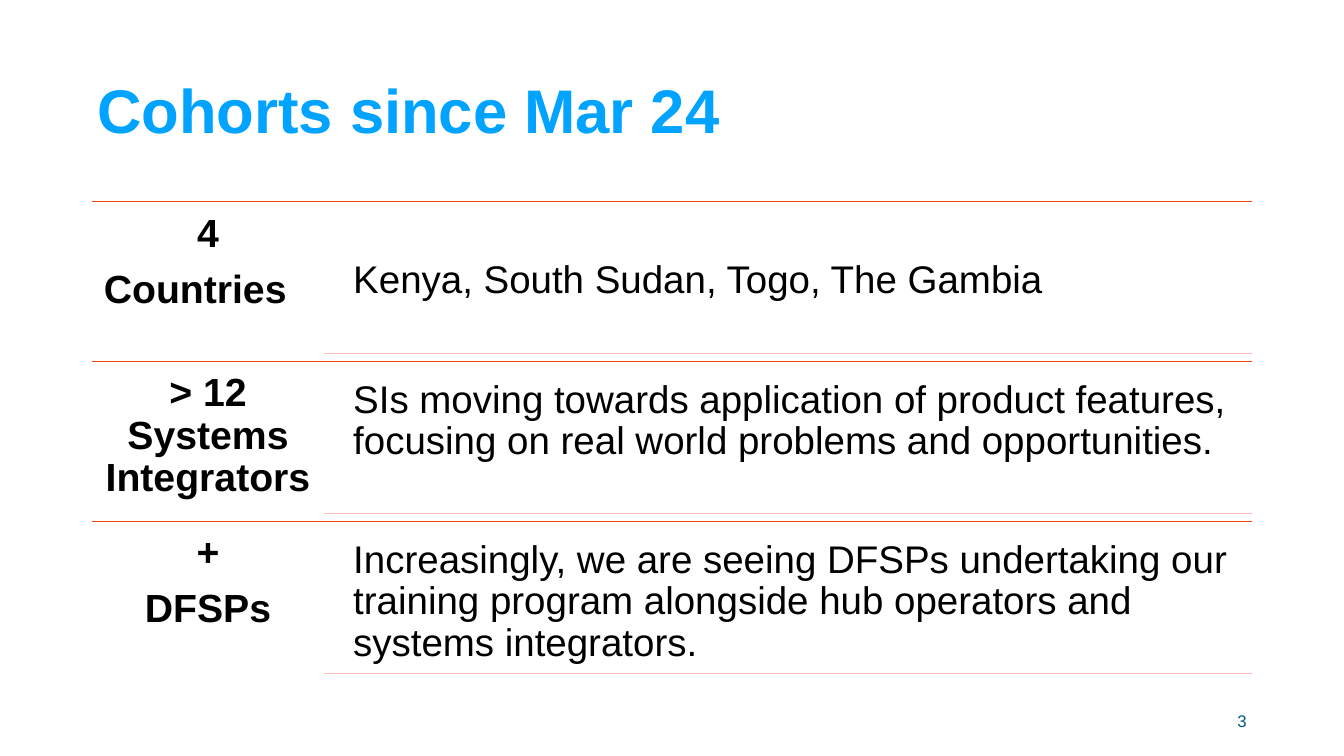
"""Builds the slide that lists the training cohorts since March 24."""
from lxml import etree
from pptx import Presentation
from pptx.dml.color import RGBColor
from pptx.enum.shapes import MSO_CONNECTOR
from pptx.enum.text import MSO_ANCHOR, PP_ALIGN
from pptx.oxml.ns import qn
from pptx.util import Emu, Pt

LEFT, MID, RIGHT = PP_ALIGN.LEFT, PP_ALIGN.CENTER, PP_ALIGN.RIGHT
TOP, CENTER = MSO_ANCHOR.TOP, MSO_ANCHOR.MIDDLE
STRAIGHT = MSO_CONNECTOR.STRAIGHT


def px(n):
    return Emu(n * 9144)


def color(code):
    return RGBColor.from_string(code)


def write(para, text, size, ink="000000", bold=False, align=LEFT, lead=0.9, gap=0):
    para.alignment = align
    para.line_spacing = lead
    para.space_before = Pt(gap)
    run = para.add_run()
    run.text = text
    font = run.font
    font.name = "Arial"
    font.size = Pt(size)
    font.bold = bold
    font.color.rgb = color(ink)


class Deck:
    """Holds the style and the current slide."""

    blue, navy = "00A3FF", "005A83"
    rule, pale = "FA430E", "FEBCB7"

    def __init__(self, wide, high):
        self.file = Presentation()
        self.file.slide_width, self.file.slide_height = px(wide), px(high)
        self.slide = self.file.slides.add_slide(self.file.slide_layouts[6])

    def box(self, x, y, w, h, anchor=TOP, side=23, edge=23):
        shape = self.slide.shapes.add_textbox(px(x), px(y), px(w), px(h))
        frame = shape.text_frame
        frame.word_wrap = True
        frame.vertical_anchor = anchor
        frame.margin_left = frame.margin_right = px(side)
        frame.margin_top = frame.margin_bottom = px(edge)
        return frame

    def line(self, x, end, y, ink):
        line = self.slide.shapes.add_connector(STRAIGHT, px(x), px(y), px(end), px(y))
        line.line.color.rgb = color(ink)
        line.line.width = Pt(1)
        etree.SubElement(line._element.spPr, qn("a:effectLst"))

    def row(self, y, head, body, anchor):
        self.line(183, 2484, y, self.rule)
        frame = self.box(183, y, 460, 317)
        for i, (text, align) in enumerate(head):
            para = frame.add_paragraph() if i else frame.paragraphs[0]
            write(para, text, 56, bold=True, align=align, gap=19.6 if i else 0)
        frame = self.box(678, y + 14, 1806, 288, anchor)
        write(frame.paragraphs[0], body, 55)
        self.line(643, 2484, y + 302, self.pale)


ROWS = [
    ([("4", MID), ("Countries", LEFT)],
     "Kenya, South Sudan, Togo, The Gambia", CENTER),
    ([("> 12 Systems Integrators", MID)],
     "SIs moving towards application of product features, "
     "focusing on real world problems and opportunities.", TOP),
    ([("+", MID), ("DFSPs", MID)],
     "Increasingly, we are seeing DFSPs undertaking our training program "
     "alongside hub operators and systems integrators.", TOP),
]


def main():
    deck = Deck(2667, 1500)
    title = deck.box(183, 80, 2064, 290, CENTER, side=10, edge=5)
    write(title.paragraphs[0], "Cohorts since Mar 24", 88, deck.blue, bold=True)
    for i, (head, body, anchor) in enumerate(ROWS):
        deck.row(400 + 317 * i, head, body, anchor)
    page = deck.box(1884, 1390, 600, 80, CENTER, side=10, edge=5)
    write(page.paragraphs[0], "3", 24, deck.navy, align=RIGHT, lead=1.0)
    deck.file.save("out.pptx")


if __name__ == "__main__":
    main()
